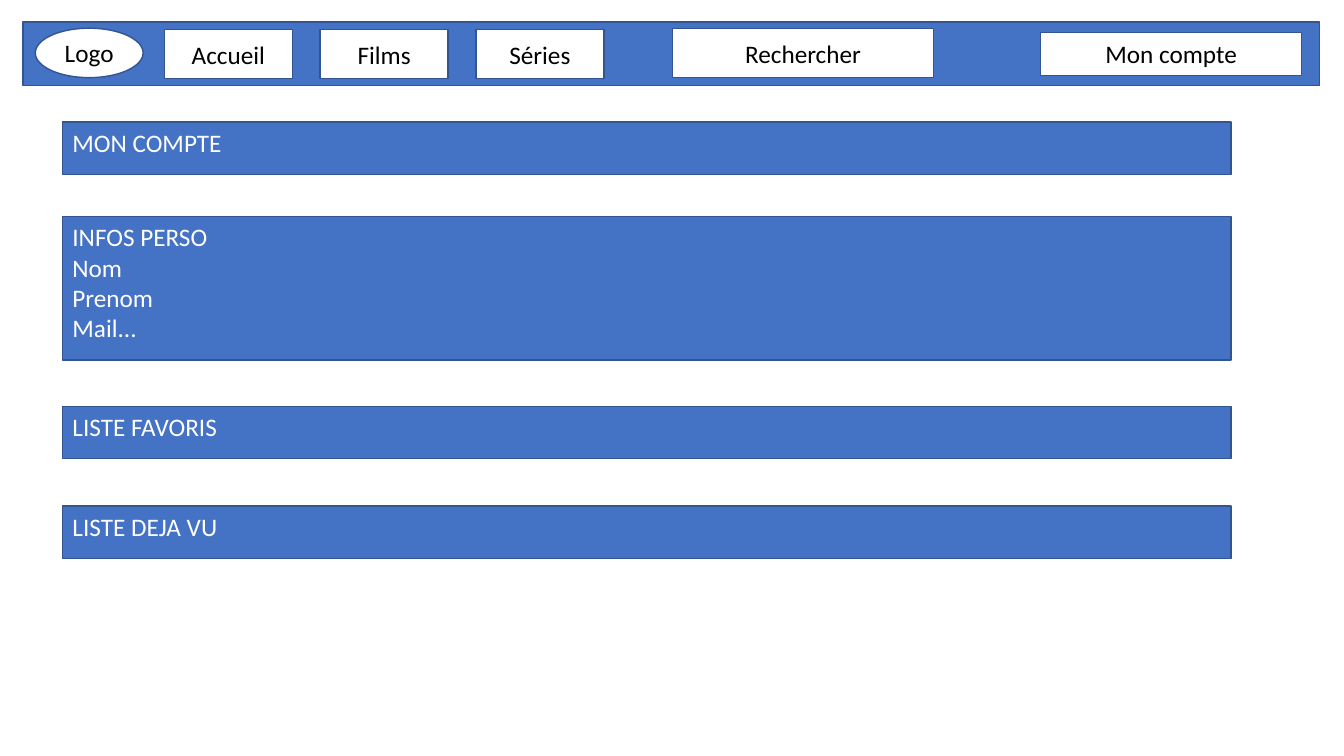
import pptx
import pptx.util
import pptx.dml.color
import pptx.enum.shapes
import pptx.enum.text

Inches = pptx.util.Inches
Color = pptx.dml.color.RGBColor
Kind = pptx.enum.shapes.MSO_SHAPE
Align = pptx.enum.text.PP_ALIGN
Anchor = pptx.enum.text.MSO_ANCHOR

BLUE = Color(0x44, 0x72, 0xC4)
OUTLINE = Color(0x32, 0x54, 0x91)
WHITE = Color(0xFF, 0xFF, 0xFF)
BLACK = Color(0, 0, 0)

NAV_BAR = (0.23, 0.22, 12.86, 0.63)
LOGO = ("Logo", (0.35, 0.28, 1.07, 0.49))
TABS = ["Accueil", "Films", "Séries"]
TAB_LEFT, TAB_STEP = 1.63, 1.545
WIDE_BUTTONS = [
    ("Rechercher", (6.67, 0.28, 2.59, 0.49)),
    ("Mon compte", (10.32, 0.32, 2.59, 0.43)),
]
SECTIONS = [
    (1.21, 0.52, ["MON COMPTE"]),
    (2.15, 1.42, ["INFOS PERSO", "Nom", "Prenom", "Mail..."]),
    (4.03, 0.52, ["LISTE FAVORIS"]),
    (5.02, 0.52, ["LISTE DEJA VU"]),
]


def add_box(page, lines, bounds, kind=Kind.RECTANGLE, fill=WHITE, color=BLACK,
            align=Align.CENTER, anchor=Anchor.MIDDLE):
    box = page.shapes.add_shape(kind, *map(Inches, bounds))
    box.shadow.inherit = False
    box.fill.solid()
    box.fill.fore_color.rgb = fill
    box.line.color.rgb = OUTLINE
    box.line.width = pptx.util.Pt(1)
    frame = box.text_frame
    frame.word_wrap = True
    frame.vertical_anchor = anchor
    for index, line in enumerate(lines):
        para = frame.add_paragraph() if index else frame.paragraphs[0]
        para.alignment = align
        span = para.add_run()
        span.text = line
        span.font.name = "Calibri"
        span.font.size = pptx.util.Pt(18)
        span.font.color.rgb = color


def main():
    deck = pptx.Presentation()
    deck.slide_width, deck.slide_height = Inches(13.33), Inches(7.5)
    page = deck.slides.add_slide(deck.slide_layouts.get_by_name("Blank"))

    add_box(page, [], NAV_BAR, fill=BLUE)
    for index, label in enumerate(TABS):
        add_box(page, [label], (TAB_LEFT + index * TAB_STEP, 0.29, 1.27, 0.49))
    for label, bounds in WIDE_BUTTONS:
        add_box(page, [label], bounds)
    label, bounds = LOGO
    add_box(page, [label], bounds, kind=Kind.OVAL)

    for top, height, lines in SECTIONS:
        add_box(page, lines, (0.62, top, 11.59, height), fill=BLUE,
                color=WHITE, align=Align.LEFT, anchor=Anchor.TOP)

    deck.save("out.pptx")


if __name__ == "__main__":
    main()
